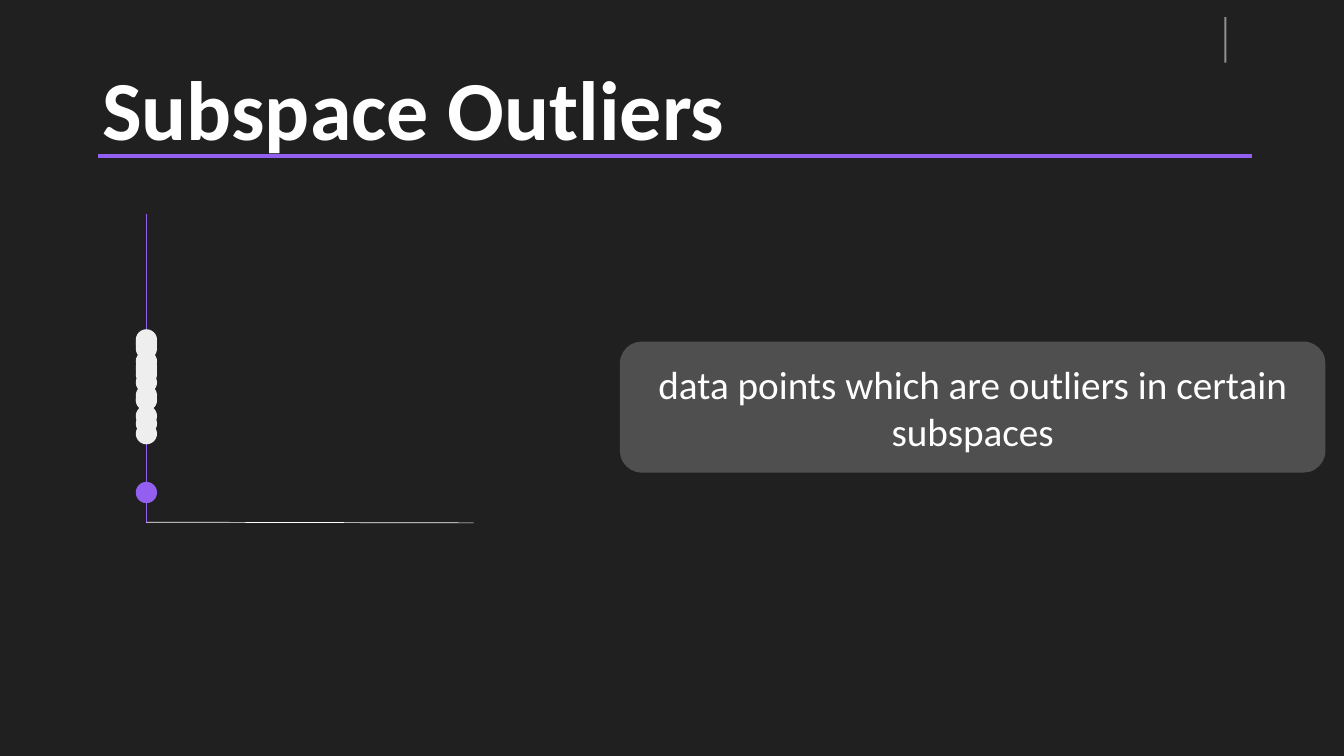
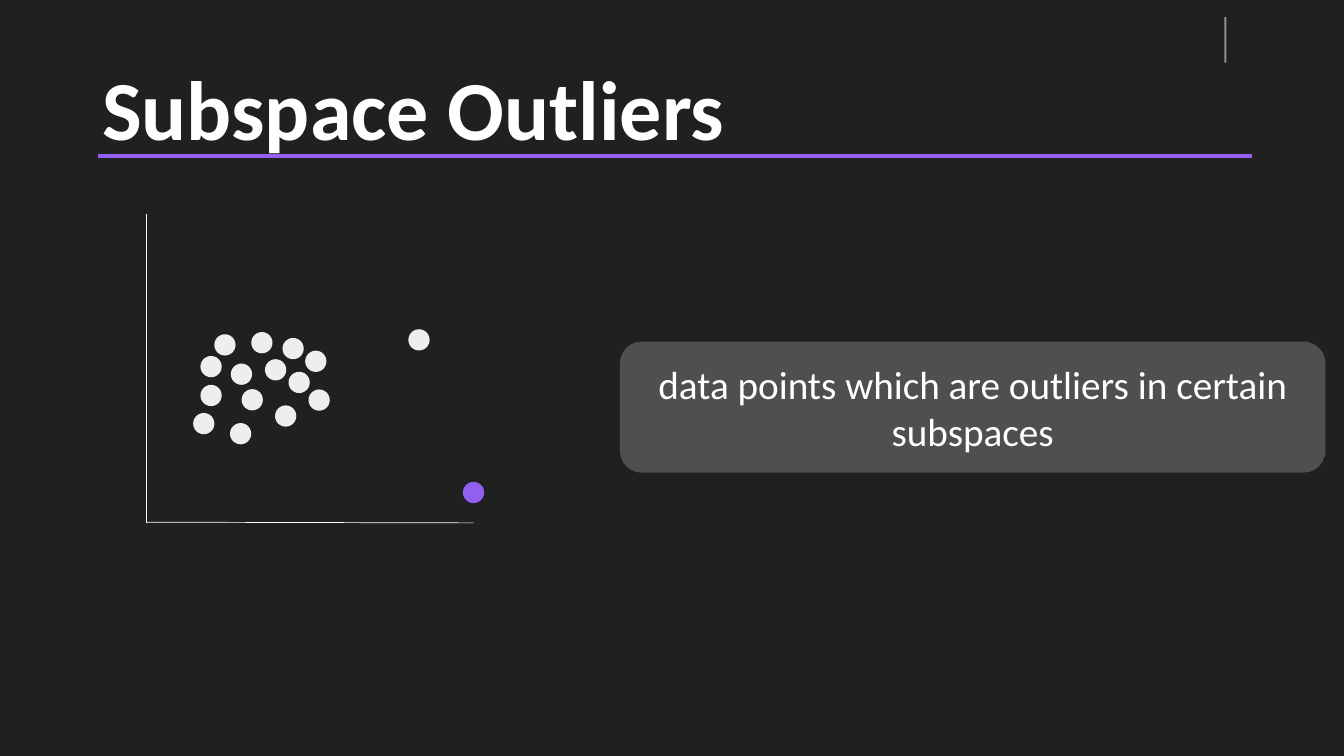
from typing import Any, NamedTuple

import pptx
import pptx.dml.color
import pptx.enum.shapes
import pptx.enum.text
import pptx.oxml.ns
import pptx.util
from lxml import etree

Pt = pptx.util.Pt
Shape = pptx.enum.shapes.MSO_SHAPE
Align = pptx.enum.text.PP_ALIGN

BACKGROUND = "202020"
WHITE = "FFFFFF"
ACCENT = "925FF0"
PANEL = "4F4F4F"
MARKER = "909090"
POINT = "EEEEEE"
FONT = "Calibri"

POINT_SIZE = 15.2
AXIS_X, AXIS_TOP, AXIS_BOTTOM, AXIS_RIGHT = 104.6, 152.6, 373.5, 338.3
AXIS_WIDTH = 0.5


class Box(NamedTuple):
    left: float
    top: float
    width: float
    height: float


class DataPoint(NamedTuple):
    x: float
    y: float
    color: str = POINT


DATA_POINTS = [
    DataPoint(299.3, 242.8),
    DataPoint(180.2, 285.6),
    DataPoint(225.6, 258.1),
    DataPoint(145.6, 302.6),
    DataPoint(171.9, 309.8),
    DataPoint(196.9, 264.2),
    DataPoint(213.7, 273.2),
    DataPoint(172.5, 267.3),
    DataPoint(150.8, 261.9),
    DataPoint(187.1, 244.8),
    DataPoint(160.7, 246.4),
    DataPoint(204.1, 297.2),
    DataPoint(209.4, 249),
    DataPoint(228, 285.8),
    DataPoint(150.8, 282.5),
    DataPoint(AXIS_RIGHT, 351.8, ACCENT),
]


def rgb(color: str) -> pptx.dml.color.RGBColor:
    return pptx.dml.color.RGBColor.from_string(color)


def add_filled_shape(slide: Any, kind: Any, box: Box, color: str) -> Any:
    shape = slide.shapes.add_shape(kind, *map(Pt, box))
    shape.shadow.inherit = False
    shape.fill.solid()
    shape.fill.fore_color.rgb = rgb(color)
    shape.line.fill.background()
    return shape


def add_line(slide: Any, start: tuple[float, float], end: tuple[float, float],
             color: str, width: float) -> None:
    line = slide.shapes.add_connector(
        pptx.enum.shapes.MSO_CONNECTOR.STRAIGHT, *map(Pt, start + end))
    line.line.color.rgb = rgb(color)
    line.line.width = Pt(width)
    properties = line._element.spPr
    etree.SubElement(properties, pptx.oxml.ns.qn("a:effectLst"))


def write_text(shape: Any, text: str, *, size: float, bold: bool = False,
               align: Any = Align.LEFT, line_spacing: float = 1.0) -> None:
    frame = shape.text_frame
    frame.word_wrap = True
    frame.vertical_anchor = pptx.enum.text.MSO_ANCHOR.MIDDLE
    paragraph = frame.paragraphs[0]
    paragraph.alignment = align
    paragraph.line_spacing = line_spacing
    run = paragraph.add_run()
    run.text = text
    run.font.name = FONT
    run.font.size = Pt(size)
    run.font.bold = bold
    run.font.color.rgb = rgb(WHITE)


def add_frame(slide: Any, title: str) -> None:
    """Draw the corner marker, the title and the rule beneath it."""
    add_filled_shape(slide, Shape.RECTANGLE, Box(874.6, 12.2, 1.5, 32.6), MARKER)
    title_box = slide.shapes.add_textbox(*map(Pt, Box(66, 28.8, 828, 104.4)))
    write_text(title_box, title, size=60, bold=True, line_spacing=0.9)
    add_line(slide, (70, 111.6), (894.2, 111.6), ACCENT, 3)


def add_callout(slide: Any, text: str) -> None:
    panel = add_filled_shape(
        slide, Shape.ROUNDED_RECTANGLE, Box(442.8, 244, 504, 93.6), PANEL)
    write_text(panel, text, size=28, align=Align.CENTER)


def add_scatter(slide: Any, projected: bool) -> None:
    """Draw axes and points; a projection moves every point onto the vertical axis."""
    add_line(slide, (AXIS_X, AXIS_BOTTOM), (AXIS_X, AXIS_TOP),
             ACCENT if projected else WHITE, AXIS_WIDTH)
    add_line(slide, (AXIS_RIGHT, AXIS_BOTTOM), (AXIS_X, AXIS_BOTTOM - 0.5),
             WHITE, AXIS_WIDTH)
    for point in DATA_POINTS:
        x = AXIS_X if projected else point.x
        box = Box(x - POINT_SIZE / 2, point.y - POINT_SIZE / 2, POINT_SIZE, POINT_SIZE)
        add_filled_shape(slide, Shape.OVAL, box, point.color)


def main() -> None:
    presentation = pptx.Presentation()
    presentation.slide_width, presentation.slide_height = Pt(960), Pt(540)
    background = presentation.slide_master.background.fill
    background.solid()
    background.fore_color.rgb = rgb(BACKGROUND)
    for projected in (True, False):
        slide = presentation.slides.add_slide(presentation.slide_layouts[6])
        add_frame(slide, "Subspace Outliers")
        add_callout(slide, "data points which are outliers in certain subspaces")
        add_scatter(slide, projected)
    presentation.save("out.pptx")


if __name__ == "__main__":
    main()
